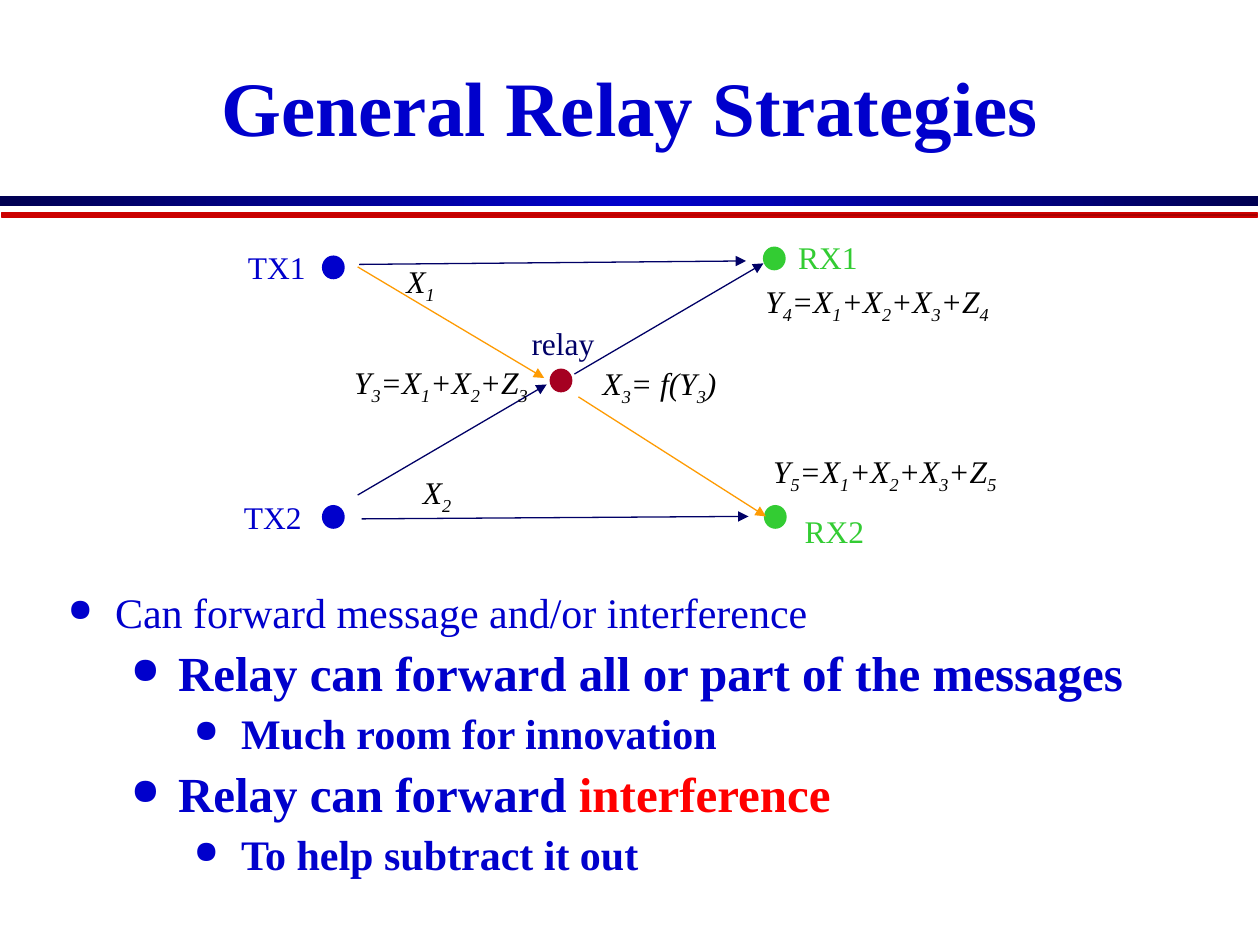
import pptx
import pptx.dml.color
import pptx.enum.shapes
import pptx.enum.text
import pptx.oxml.ns
import pptx.util
from lxml import etree

Cm = pptx.util.Cm
Pt = pptx.util.Pt
RGB = pptx.dml.color.RGBColor.from_string
qn = pptx.oxml.ns.qn
SHAPE = pptx.enum.shapes.MSO_SHAPE
ALIGN = pptx.enum.text.PP_ALIGN
ANCHOR = pptx.enum.text.MSO_ANCHOR
AUTO = pptx.enum.text.MSO_AUTO_SIZE


class Theme:
    font = "Times New Roman"
    blue, navy, dark = "0000CC", "000066", "000052"
    red, brick, alert, relay = "CC0000", "A30000", "FF0000", "A50021"
    green, orange, black = "33CC33", "FE9B03", "000000"
    title, large, medium, label = Pt(44), Pt(28), Pt(24), Pt(18)


def add_run(paragraph, text, color, **font_format):
    run = paragraph.add_run()
    run.text = text
    run.font.color.rgb = RGB(color)
    for name, value in {"name": Theme.font, **font_format}.items():
        setattr(run.font, name, value)
    return run


def add_frame(shapes, left, top, width, height, **frame_format):
    frame = shapes.add_textbox(Cm(left), Cm(top), Cm(width), Cm(height)).text_frame
    for name, value in {"word_wrap": True, **frame_format}.items():
        setattr(frame, name, value)
    return frame


deck = pptx.Presentation()
deck.slide_width, deck.slide_height = Cm(25.4), Cm(19.05)
slide = deck.slides.add_slide(deck.slide_layouts[6])

rules = [
    (0, 3.96, 25.37, 0.2, [Theme.dark, Theme.blue, Theme.dark], None),
    (0.03, 4.29, 25.32, 0.08, [Theme.red, Theme.brick], Theme.red),
]
for left, top, width, height, colors, outline in rules:
    rule = slide.shapes.add_shape(SHAPE.RECTANGLE, Cm(left), Cm(top), Cm(width), Cm(height))
    rule.shadow.inherit = False
    rule.fill.gradient()
    rule.fill.gradient_angle = 0
    stops = next(rule._element.iter(qn("a:gsLst")))
    stops[:] = []
    for index, color in enumerate(colors):
        stop = etree.SubElement(stops, qn("a:gs"), pos=str(100000 * index // (len(colors) - 1)))
        etree.SubElement(stop, qn("a:srgbClr"), val=color)
    if outline:
        rule.line.color.rgb = RGB(outline)
        rule.line.width = Pt(1)
    else:
        rule.line.fill.background()

heading = add_frame(slide.shapes, 1.27, 0, 22.86, 3.18, vertical_anchor=ANCHOR.BOTTOM).paragraphs[0]
heading.alignment = ALIGN.CENTER
heading.line_spacing = 0.8
add_run(heading, "General Relay Strategies", Theme.blue, size=Theme.title, bold=True)

points = [
    (0, "Can forward message and/or interference", ""),
    (1, "Relay can forward all or part of the messages", ""),
    (2, "Much room for innovation", ""),
    (1, "Relay can forward ", "interference"),
    (2, "To help subtract it out", ""),
]
outline_text = add_frame(slide.shapes, 1.12, 11.81, 24.28, 1.7)
for index, (level, text, highlight) in enumerate(points):
    point = outline_text.add_paragraph() if index else outline_text.paragraphs[0]
    point_format = {"level": level, "line_spacing": 0.9, "space_before": Pt(7 if level == 1 else 6)}
    for name, value in point_format.items():
        setattr(point, name, value)
    properties = point._p.get_or_add_pPr()
    properties.set("marL", str(Cm(0.95 + 1.27 * level)))
    properties.set("indent", str(Cm(-0.95)))
    bullet_color = etree.SubElement(properties, qn("a:buClr"))
    etree.SubElement(bullet_color, qn("a:srgbClr"), val=Theme.blue)
    etree.SubElement(properties, qn("a:buSzPct"), val="75000")
    etree.SubElement(properties, qn("a:buChar"), char="●")
    font_format = {"size": Theme.large if level == 1 else Theme.medium, "bold": level > 0}
    add_run(point, text, Theme.blue, **font_format)
    if highlight:
        add_run(point, highlight, Theme.alert, **font_format)

diagram = slide.shapes.add_group_shape().shapes

nodes = [
    (6.48, 10.19, Theme.blue),
    (11.07, 7.44, Theme.relay),
    (6.48, 5.16, Theme.blue),
    (15.37, 4.98, Theme.green),
    (15.39, 10.19, Theme.green),
]
for left, top, color in nodes:
    node = diagram.add_shape(SHAPE.OVAL, Cm(left), Cm(top), Cm(0.48), Cm(0.46))
    node.rotation = 270
    node.shadow.inherit = False
    node.fill.solid()
    node.fill.fore_color.rgb = RGB(color)
    node.line.fill.background()

links = [
    (7.21, 9.98, 11.02, 7.75, Theme.navy),
    (11.58, 7.54, 15.39, 5.31, Theme.navy),
    (7.21, 5.38, 10.97, 7.62, Theme.orange),
    (11.66, 8, 15.44, 10.41, Theme.orange),
    (7.24, 5.33, 15.04, 5.26, Theme.navy),
    (7.29, 10.46, 15.09, 10.41, Theme.navy),
]
for *ends, color in links:
    link = diagram.add_connector(pptx.enum.shapes.MSO_CONNECTOR.STRAIGHT, *map(Cm, ends))
    link.line.color.rgb = RGB(color)
    link.line.width = Pt(0.75)
    etree.SubElement(link.line._get_or_add_ln(), qn("a:tailEnd"), type="triangle")
    etree.SubElement(link._element.spPr, qn("a:effectLst"))

labels = [
    (3.99, 4.88, 3.18, "TX1", Theme.blue),
    (3.91, 9.91, 3.18, "TX2", Theme.blue),
    (9.47, 6.4, 3.76, "relay", Theme.navy),
    (14.94, 10.19, 3.76, "RX2", Theme.green),
    (14.81, 4.67, 3.76, "RX1", Theme.green),
    (7.16, 5.16, 2.64, "X|1", Theme.black),
    (7.49, 9.42, 2.64, "X|2", Theme.black),
    (6.68, 7.19, 4.42, "Y|3|=X|1|+X|2|+Z|3", Theme.black),
    (14.81, 5.56, 5.74, "Y|4|=X|1|+X|2|+X|3|+Z|4", Theme.black),
    (14.81, 8.99, 6.05, "Y|5|=X|1|+X|2|+X|3|+Z|5", Theme.black),
    (11.1, 7.21, 4.39, "X|3|= f(Y|3|)", Theme.black),
]
for left, top, width, text, color in labels:
    is_formula = "|" in text
    height = 1.12 if is_formula else 1.02
    label = add_frame(diagram, left, top, width, height, auto_size=AUTO.SHAPE_TO_FIT_TEXT).paragraphs[0]
    label.alignment = ALIGN.CENTER
    for index, part in enumerate(text.split("|")):
        run = add_run(label, part, color, size=Theme.label, italic=is_formula)
        if index % 2:
            run.font._element.set("baseline", "-25000")

deck.save("out.pptx")
